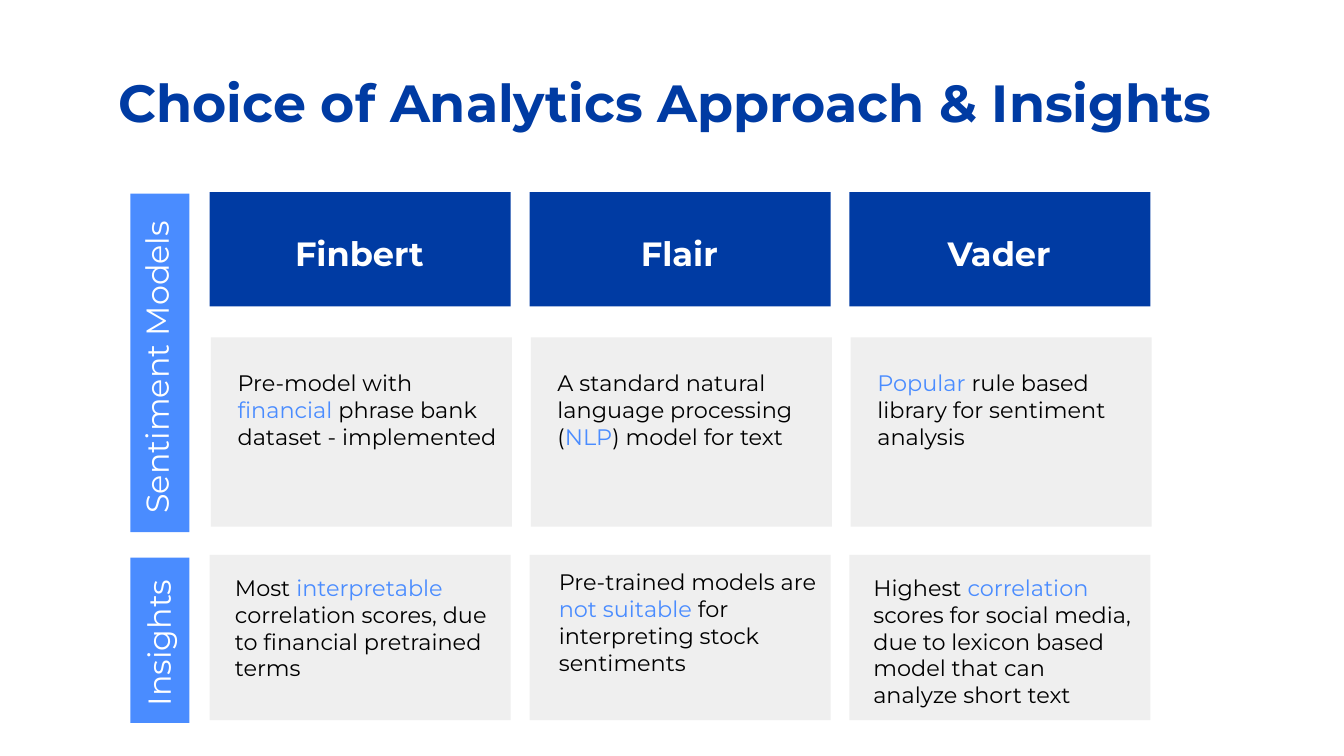
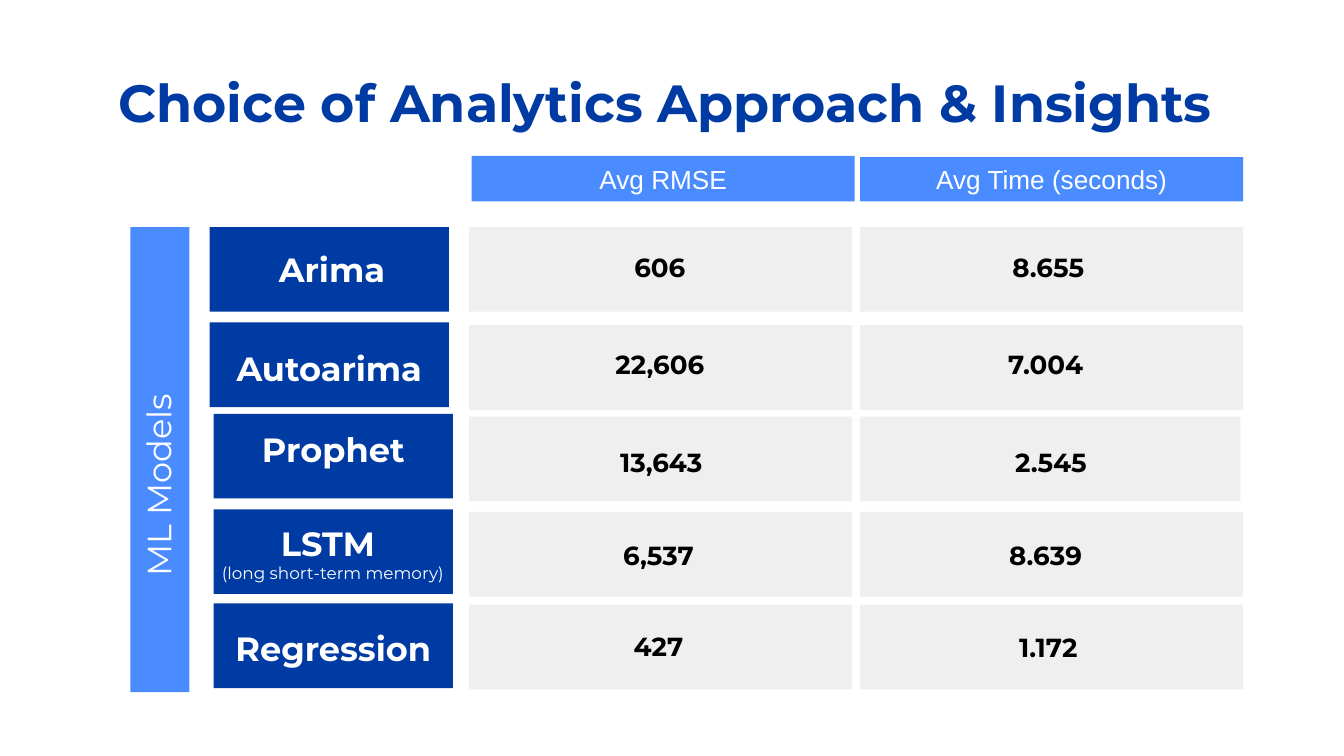
from pptx import Presentation
from pptx.dml.color import RGBColor
from pptx.enum.shapes import MSO_SHAPE
from pptx.enum.text import MSO_ANCHOR, MSO_AUTO_SIZE, PP_ALIGN
from pptx.util import Pt

PX = 9144  # 100 px to the inch
NAVY = RGBColor(0x00, 0x3B, 0xA3)
BLUE = RGBColor(0x4A, 0x8C, 0xFF)
GREY = RGBColor(0xEF, 0xEF, 0xEF)
WHITE = RGBColor(0xFF, 0xFF, 0xFF)
BLACK = RGBColor(0x00, 0x00, 0x00)
FONT = "Montserrat"
INSET = 10 * PX


def add_panel(page, left, top, width, height, colour):
    panel = page.shapes.add_shape(
        MSO_SHAPE.RECTANGLE, left * PX, top * PX, width * PX, height * PX)
    panel.shadow.inherit = False
    panel.fill.solid()
    panel.fill.fore_color.rgb = colour
    panel.line.fill.background()
    return panel


def add_text(page, left, top, width, height, text, size, colour,
             bold=False, align=PP_ALIGN.CENTER):
    """Add a text box; pieces of text between asterisks are highlighted."""
    box = page.shapes.add_textbox(left * PX, top * PX, width * PX, height * PX)
    frame = box.text_frame
    frame.word_wrap = True
    frame.margin_left = frame.margin_right = INSET
    frame.margin_top = frame.margin_bottom = INSET
    para = frame.paragraphs[0]
    para.alignment = align
    for index, piece in enumerate(text.split("*")):
        if piece:
            span = para.add_run()
            span.text = piece
            span.font.name = FONT
            span.font.size = Pt(size)
            span.font.bold = bold
            span.font.color.rgb = BLUE if index % 2 else colour
    return box


deck = Presentation()
deck.slide_width = 1000 * PX
deck.slide_height = deck.slide_width * 9 // 16

# Both slides carry the same title
pages = [deck.slides.add_slide(deck.slide_layouts[5]) for _ in range(2)]
for page in pages:
    title = page.shapes.title
    title.left, title.top = 78 * PX, 42 * PX
    title.width, title.height = 844 * PX, 63 * PX
    frame = title.text_frame
    frame.text = "Choice of Analytics Approach & Insights"
    frame.auto_size = MSO_AUTO_SIZE.NONE
    frame.word_wrap = True
    frame.vertical_anchor = MSO_ANCHOR.TOP
    frame.margin_left = frame.margin_right = INSET
    frame.margin_top = frame.margin_bottom = INSET
    para = frame.paragraphs[0]
    para.alignment = PP_ALIGN.LEFT
    para.font.name = FONT
    para.font.size = Pt(28)
    para.font.bold = True
    para.font.color.rgb = NAVY
models_page, results_page = pages

# Vertical side bands: page, band top and height, label box, size
side_bands = [
    (models_page, 144, 252, "Sentiment Models", (-7, 239, 252, 54), 17),
    (models_page, 415, 123, "Insights", (59, 447, 123, 54), 17),
    (results_page, 169, 346, "ML Models", (29, 321, 181, 54), 18),
]
for page, top, height, text, label_box, size in side_bands:
    add_panel(page, 97, top, 44, height, BLUE)
    label = add_text(page, *label_box, text, size, WHITE, align=PP_ALIGN.LEFT)
    label.rotation = 270

# Slide 1: name, description, insight and the insight's text box
sentiment_models = [
    ("Finbert",
     "Pre-model with *financial *phrase bank dataset - implemented",
     "Most *interpretable *correlation scores, due to financial pretrained terms",
     (165, 417, 213, 85)),
    ("Flair",
     "A standard natural language processing (*NLP*) model for text",
     "Pre-trained models are *not suitable* for interpreting stock sentiments",
     (406, 413, 213, 85)),
    ("Vader",
     "*Popular *rule based library for sentiment analysis",
     "Highest *correlation *scores for social media, due to lexicon based "
     "model that can analyze short text",
     (640, 417, 213, 119)),
]
for column, (name, description, insight, insight_box) in enumerate(sentiment_models):
    left = 156 + 238 * column
    add_panel(models_page, left, 143, 224, 85, NAVY)
    add_text(models_page, left + 20, 163, 183, 47, name, 18, WHITE, bold=True)
    add_panel(models_page, left + 1, 251, 224, 141, GREY)
    add_text(models_page, left + 11, 265, 213, 100, description, 12, BLACK,
             align=PP_ALIGN.LEFT)
    add_panel(models_page, left, 413, 224, 123, GREY)
    add_text(models_page, *insight_box, insight, 12, BLACK, align=PP_ALIGN.LEFT)

# Slide 2: column headings
for left, top, height, heading in [(351, 116, 34, "Avg RMSE"),
                                   (640, 117, 33, "Avg Time (seconds)")]:
    panel = add_panel(results_page, left, top, 285, height, BLUE)
    frame = panel.text_frame
    frame.text = heading
    frame.vertical_anchor = MSO_ANCHOR.MIDDLE
    para = frame.paragraphs[0]
    para.alignment = PP_ALIGN.CENTER
    para.font.name = "Arial"
    para.font.size = Pt(14)
    para.font.color.rgb = WHITE

# Slide 2: name, name panel (left, top), name box, top of the value panels,
# then each value with the left and top of its box
ml_models = [
    ("Arima", (156, 169), (176, 175, 142, 42), 169,
     ("606", 420, 177), ("8.655", 709, 177)),
    ("Autoarima", (156, 240), (156, 249, 178, 49), 242,
     ("22,606", 420, 249), ("7.004", 707, 249)),
    ("Prophet", (159, 308), (177, 309, 142, 49), 310,
     ("13,643", 421, 322), ("2.545", 711, 322)),
    ("LSTM ", (159, 379), (153, 379, 189, 57), 381,
     ("6,537", 419, 391), ("8.639", 707, 391)),
    ("Regression", (159, 449), (159, 457, 178, 49), 450,
     ("427", 419, 459), ("1.172", 709, 460)),
]
for name, name_panel, name_box, value_top, rmse, seconds in ml_models:
    add_panel(results_page, *name_panel, 178, 63, NAVY)
    label = add_text(results_page, *name_box, name, 18, WHITE, bold=True)
    if name.startswith("LSTM"):
        para = label.text_frame.add_paragraph()
        para.text = "(long short-term memory)"
        para.alignment = PP_ALIGN.CENTER
        span = para.runs[0]
        span.font.name = FONT
        span.font.size = Pt(9)
        span.font.color.rgb = WHITE
    for panel_left, (value, left, top) in zip((349, 640), (rmse, seconds)):
        width = 283 if value == "2.545" else 285
        add_panel(results_page, panel_left, value_top, width, 63, GREY)
        add_text(results_page, left, top, 142, 42, value, 14, BLACK, bold=True)

deck.save("out.pptx")
